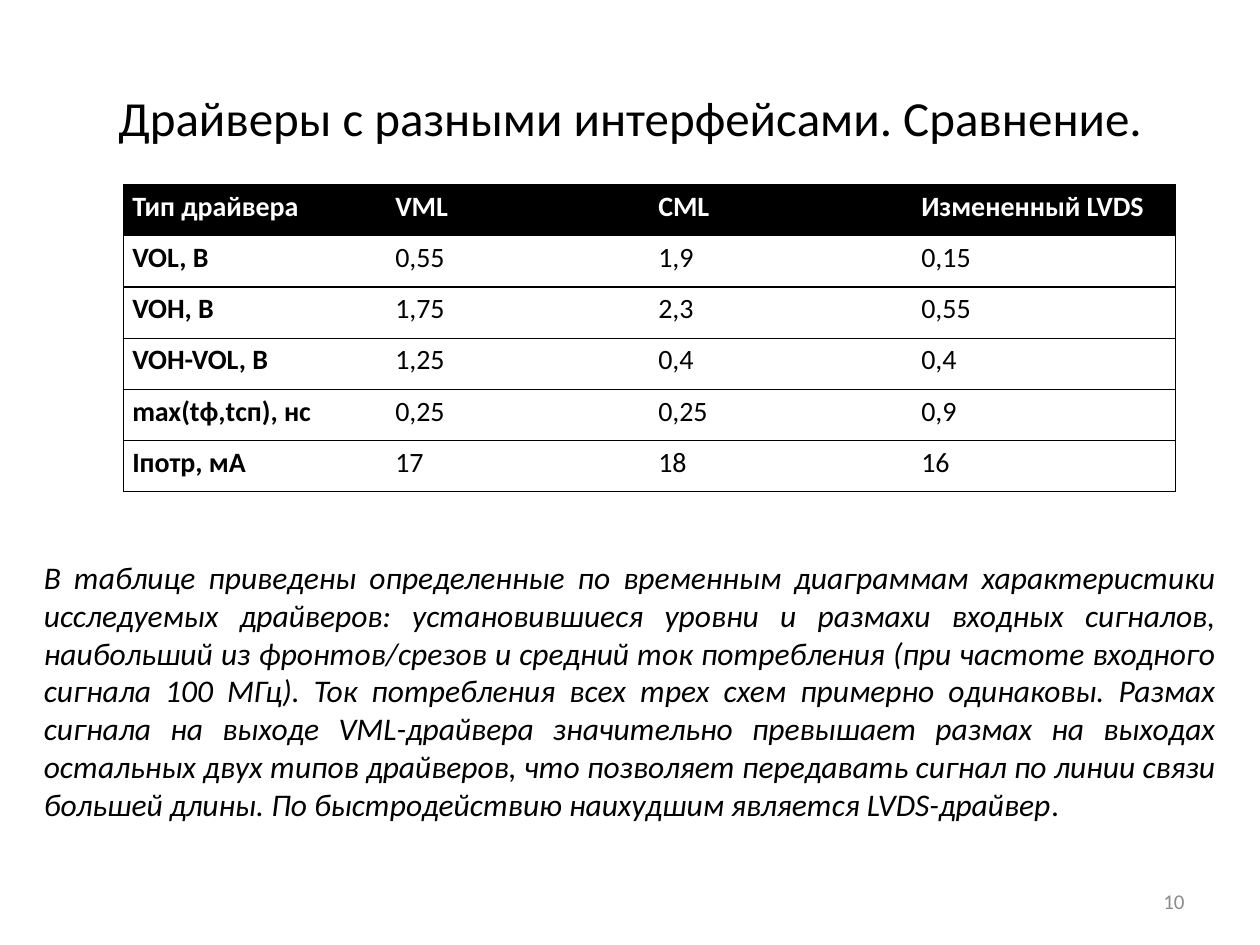
from dataclasses import dataclass

from pptx import Presentation
from pptx.dml.color import RGBColor
from pptx.enum.text import MSO_ANCHOR as Anchor, MSO_AUTO_SIZE as AutoSize, PP_ALIGN as Align
from pptx.oxml import parse_xml
from pptx.oxml.ns import nsdecls
from pptx.util import Inches, Pt

BLACK = RGBColor(0x00, 0x00, 0x00)
WHITE = RGBColor(0xFF, 0xFF, 0xFF)
GREY = RGBColor(0x8C, 0x8C, 0x8C)
FONT = "Calibri"
PAGE_WIDTH, PAGE_HEIGHT = Inches(10), Inches(7.5)
COLUMN, ROW = PAGE_WIDTH / 100, PAGE_HEIGHT / 75


@dataclass(frozen=True)
class Area:
    column: float
    row: float
    columns: float
    rows: float

    def bounds(self) -> tuple:
        return (round(self.column * COLUMN), round(self.row * ROW),
                round(self.columns * COLUMN), round(self.rows * ROW))


@dataclass(frozen=True)
class Driver:
    name: str
    values: tuple


TITLE_AREA = Area(5, 3, 90, 12.5)
TABLE_AREA = Area(9.8, 14.65, 83.5, 24.4)
COMMENT_AREA = Area(2.5, 43.8, 95, 22.2)
NUMBER_AREA = Area(71.7, 69.5, 23.3, 4)

TITLE = "Драйверы с разными интерфейсами. Сравнение."
PARAMETERS = Driver("Тип драйвера", ("VOL, В", "VOH, В", "VOH-VOL, В", "max(tф,tсп), нс", "Iпотр, мА"))
DRIVERS = (
    Driver("VML", ("0,55", "1,75", "1,25", "0,25", "17")),
    Driver("CML", ("1,9", "2,3", "0,4", "0,25", "18")),
    Driver("Измененный LVDS", ("0,15", "0,55", "0,4", "0,9", "16")),
)
COMMENT = (
    "В таблице приведены определенные по временным диаграммам характеристики "
    "исследуемых драйверов: установившиеся уровни и размахи входных сигналов, "
    "наибольший из фронтов/срезов и средний ток потребления (при частоте входного "
    "сигнала 100 МГц). Ток потребления всех трех схем примерно одинаковы. Размах "
    "сигнала на выходе VML-драйвера значительно превышает размах на выходах "
    "остальных двух типов драйверов, что позволяет передавать сигнал по линии связи "
    "большей длины. По быстродействию наихудшим является LVDS-драйвер"
)


def write(para, text: str, *, size: float, color=BLACK, align=Align.JUSTIFY,
          bold=False, italic=False, spacing=None) -> None:
    para.alignment = align
    if spacing:
        para.line_spacing = spacing
    span = para.add_run()
    span.text = text
    font = span.font
    font.name, font.size, font.bold, font.italic = FONT, Pt(size), bold, italic
    font.color.rgb = color


def add_text_frame(page, area: Area, anchor=Anchor.TOP):
    frame = page.shapes.add_textbox(*area.bounds()).text_frame
    frame.word_wrap = True
    frame.vertical_anchor = anchor
    return frame


def set_borders(cell, visible_sides: str) -> None:
    properties = cell._tc.get_or_add_tcPr()
    for index, side in enumerate("LRTB"):
        line = f'<a:solidFill><a:srgbClr val="{BLACK}"/></a:solidFill>' if side in visible_sides else "<a:noFill/>"
        border = parse_xml(f'<a:ln{side} {nsdecls("a")} w="{Pt(0.75)}">{line}</a:ln{side}>')
        properties.insert(index, border)


def add_comparison(page, area: Area) -> None:
    table_columns = (PARAMETERS, *DRIVERS)
    row_count = len(PARAMETERS.values) + 1
    left, top, width, height = area.bounds()
    table = page.shapes.add_table(row_count, len(table_columns), left, top, width, height).table
    table.horz_banding = False
    for row in table.rows:
        row.height = height // row_count
    for column, driver in enumerate(table_columns):
        table.columns[column].width = width // len(table_columns)
        for row, text in enumerate((driver.name, *driver.values)):
            is_header = row == 0
            cell = table.cell(row, column)
            cell.margin_left = cell.margin_right = Inches(0.07)
            cell.margin_top = cell.margin_bottom = 0
            cell.fill.solid()
            cell.fill.fore_color.rgb = BLACK if is_header else WHITE
            sides = "TB" + "L" * (column == 0) + "R" * (driver is DRIVERS[-1])
            set_borders(cell, sides)
            write(cell.text_frame.paragraphs[0], text, size=16, spacing=1.15,
                  color=WHITE if is_header else BLACK, bold=is_header or column == 0)


def main() -> None:
    deck = Presentation()
    deck.slide_width, deck.slide_height = PAGE_WIDTH, PAGE_HEIGHT
    page = deck.slides.add_slide(deck.slide_layouts[5])

    title = page.shapes.title
    title.left, title.top, title.width, title.height = TITLE_AREA.bounds()
    title.text_frame.vertical_anchor = Anchor.MIDDLE
    write(title.text_frame.paragraphs[0], TITLE, size=28, align=Align.CENTER)

    number = add_text_frame(page, NUMBER_AREA, Anchor.MIDDLE)
    write(number.paragraphs[0], "10", size=12, color=GREY, align=Align.RIGHT)

    add_comparison(page, TABLE_AREA)

    comment = add_text_frame(page, COMMENT_AREA)
    comment.auto_size = AutoSize.SHAPE_TO_FIT_TEXT
    write(comment.paragraphs[0], COMMENT, size=18, italic=True)
    write(comment.paragraphs[0], ".", size=18)

    deck.save("out.pptx")


if __name__ == "__main__":
    main()
